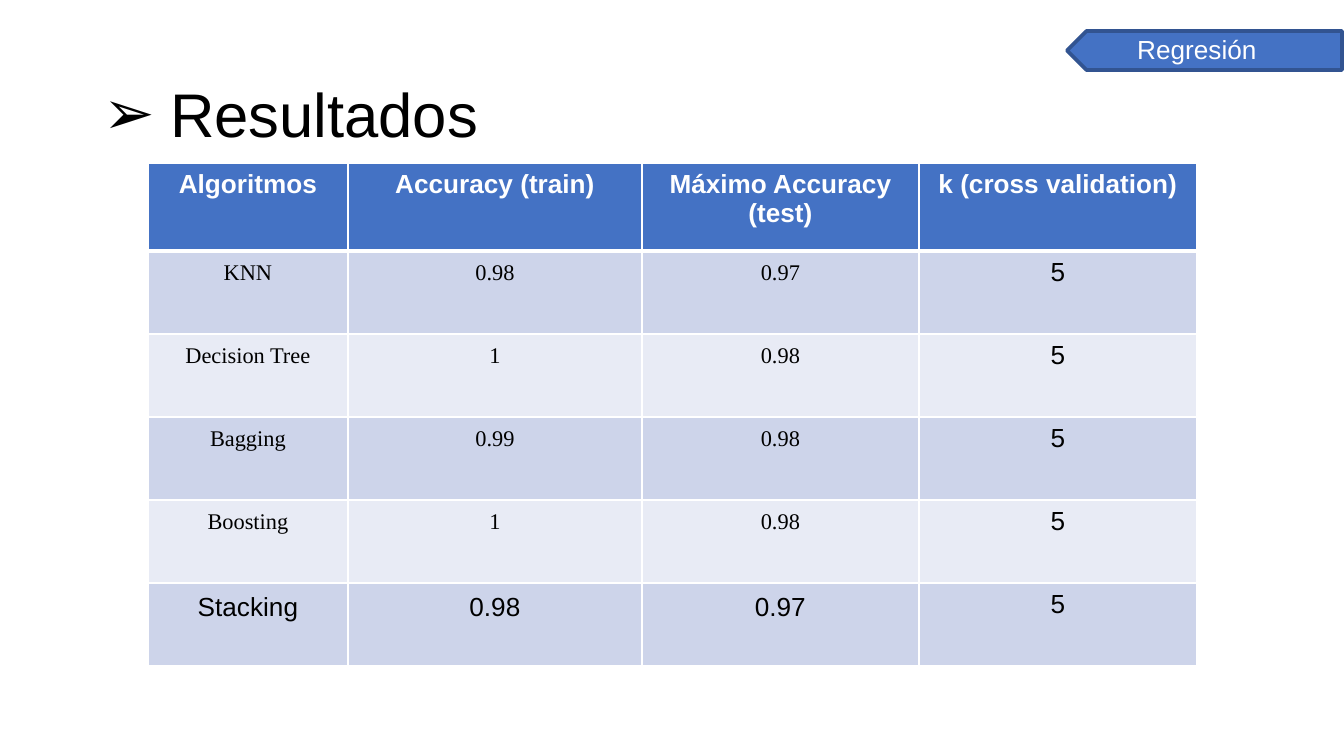
from lxml import etree
from pptx import Presentation
from pptx.dml.color import RGBColor
from pptx.enum.shapes import MSO_SHAPE
from pptx.enum.text import MSO_ANCHOR, MSO_AUTO_SIZE, PP_ALIGN
from pptx.oxml.ns import qn
from pptx.util import Emu, Pt

PENTAGON = MSO_SHAPE.PENTAGON
LEFT, CENTER = PP_ALIGN.LEFT, PP_ALIGN.CENTER
TOP, MIDDLE = MSO_ANCHOR.TOP, MSO_ANCHOR.MIDDLE
GROW, NO_FIT = MSO_AUTO_SIZE.SHAPE_TO_FIT_TEXT, MSO_AUTO_SIZE.NONE
EMU_PER_PX = 914400 / 134.4
SANS, SERIF = "Arial", "Times New Roman"
COLORS = {
    "white": "FFFFFF",
    "black": "000000",
    "blue": "4472C4",
    "outline": "325491",
    "band_dark": "CDD4EA",
    "band_light": "E8EBF5",
}
HEADERS = ["Algoritmos", "Accuracy (train)", "Máximo Accuracy (test)", "k (cross validation)"]
RESULTS = [
    ["KNN", "0.98", "0.97", "5"],
    ["Decision Tree", "1", "0.98", "5"],
    ["Bagging", "0.99", "0.98", "5"],
    ["Boosting", "1", "0.98", "5"],
    ["Stacking", "0.98", "0.97", "5"],
]
COL_WIDTHS = [200, 294, 277, 278]
HEADER_HEIGHT, ROW_HEIGHT = 88, 83


def px(n):
    """Convert pixels to EMU."""
    return Emu(round(n * EMU_PER_PX))


def rgb(name):
    """Look up a named colour."""
    return RGBColor.from_string(COLORS[name])


def style_paragraph(p, size, font, color, bold=False, align=LEFT):
    """Format a paragraph and its runs."""
    p.alignment = align
    for r in p.runs:
        r.font.size = Pt(size)
        r.font.name = font
        r.font.bold = bold
        r.font.color.rgb = rgb(color)


def set_margins(target, horizontal, vertical):
    """Set the inner margins of a text frame or cell."""
    target.margin_left = target.margin_right = px(horizontal)
    target.margin_top = target.margin_bottom = px(vertical)


def add_bullet(p, char, color, indent):
    """Give a paragraph a hanging, coloured bullet."""
    pPr = p._p.get_or_add_pPr()
    pPr.set("marL", str(px(indent)))
    pPr.set("indent", str(-px(indent)))
    buClr = etree.SubElement(pPr, qn("a:buClr"))
    etree.SubElement(buClr, qn("a:srgbClr"), val=COLORS[color])
    etree.SubElement(pPr, qn("a:buFont"), typeface=SANS)
    etree.SubElement(pPr, qn("a:buChar"), char=char)


def set_borders(cell, top, bottom):
    """Draw white borders around a cell, with widths in points."""
    tcPr = cell._tc.get_or_add_tcPr()
    for side, width in (("L", 1), ("R", 1), ("T", top), ("B", bottom)):
        ln = etree.SubElement(tcPr, qn(f"a:ln{side}"), w=str(Pt(width)))
        fill = etree.SubElement(ln, qn("a:solidFill"))
        etree.SubElement(fill, qn("a:srgbClr"), val=COLORS["white"])


def add_section_tag(slide, x, y, w, h, text):
    """Add the left-pointing section tag with its label."""
    arrow = slide.shapes.add_shape(PENTAGON, px(x), px(y + 4), px(w - 2), px(h - 7))
    arrow.rotation = 180
    arrow.shadow.inherit = False
    arrow.fill.solid()
    arrow.fill.fore_color.rgb = rgb("blue")
    arrow.line.color.rgb = rgb("outline")
    arrow.line.width = Pt(2)
    label = slide.shapes.add_textbox(px(x + 57), px(y), px(w - 57), px(h))
    tf = label.text_frame
    tf.word_wrap = True
    tf.auto_size = GROW
    tf.text = text
    style_paragraph(tf.paragraphs[0], 14, SANS, "white")


def add_title(slide, x, y, w, h, text):
    """Place the bulleted title in its placeholder."""
    title = slide.shapes.title
    title.left, title.top, title.width, title.height = px(x), px(y), px(w), px(h)
    tf = title.text_frame
    tf.word_wrap = True
    tf.auto_size = NO_FIT
    tf.vertical_anchor = MIDDLE
    set_margins(tf, 10, 5)
    tf.text = text
    p = tf.paragraphs[0]
    add_bullet(p, "➢", "black", 67)
    style_paragraph(p, 33, SANS, "black")


def fill_cell(cell, text, row, col):
    """Write and format one cell according to its place in the table."""
    is_header, is_last = row == 0, row == len(RESULTS)
    is_serif = not is_header and not is_last and col < len(HEADERS) - 1
    set_borders(cell, 3 if row == 1 else 1, 3 if is_header else 1)
    cell.fill.solid()
    band = "band_dark" if row % 2 else "band_light"
    cell.fill.fore_color.rgb = rgb("blue" if is_header else band)
    cell.vertical_anchor = TOP
    if not is_header and col < len(HEADERS) - 1:
        set_margins(cell, 10, 10)
    cell.text = text
    style_paragraph(
        cell.text_frame.paragraphs[0],
        12 if is_serif else 14,
        SERIF if is_serif else SANS,
        "white" if is_header else "black",
        is_header,
        CENTER,
    )


def add_results_table(slide, x, y):
    """Add the table of algorithm results."""
    rows = [HEADERS] + RESULTS
    heights = [HEADER_HEIGHT] + [ROW_HEIGHT] * len(RESULTS)
    frame = slide.shapes.add_table(
        len(rows), len(HEADERS), px(x), px(y), px(sum(COL_WIDTHS)), px(sum(heights))
    )
    table = frame.table
    for column, width in zip(table.columns, COL_WIDTHS):
        column.width = px(width)
    for i, (values, height) in enumerate(zip(rows, heights)):
        table.rows[i].height = px(height)
        for j, text in enumerate(values):
            fill_cell(table.cell(i, j), text, i, j)


def main():
    """Build and save the results slide."""
    prs = Presentation()
    prs.slide_width, prs.slide_height = px(1344), px(756)
    slide = prs.slides.add_slide(prs.slide_layouts[5])
    add_section_tag(slide, 1067, 27, 277, 46, "Regresión")
    add_title(slide, 93, 40, 1158, 146, "Resultados")
    add_results_table(slide, 148, 163)
    prs.save("out.pptx")


if __name__ == "__main__":
    main()
